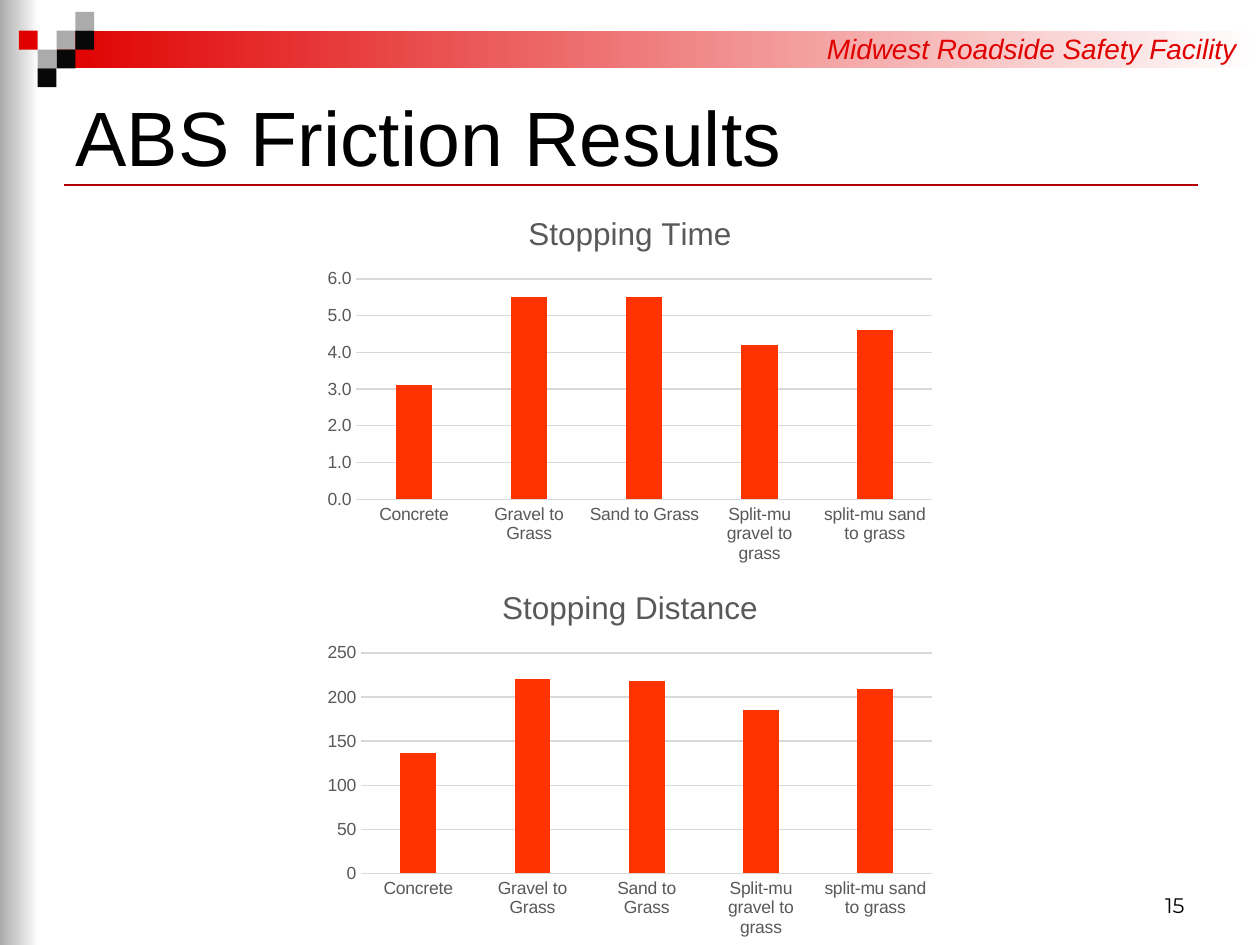
import pptx
import pptx.chart.data
import pptx.dml.color
import pptx.enum.chart
import pptx.enum.shapes
import pptx.enum.text
import pptx.oxml
import pptx.oxml.ns
import pptx.util

Cm = pptx.util.Cm
Pt = pptx.util.Pt
RGBColor = pptx.dml.color.RGBColor
ALIGN = pptx.enum.text.PP_ALIGN
ANCHOR = pptx.enum.text.MSO_ANCHOR
XL = pptx.enum.chart

BLACK = RGBColor(0x00, 0x00, 0x00)
INK = RGBColor(0x08, 0x08, 0x08)
WHITE = RGBColor(0xFF, 0xFF, 0xFF)
GREY = RGBColor(0xAB, 0xAB, 0xAB)
RED = RGBColor(0xE0, 0x00, 0x00)
DARK_RED = RGBColor(0xB2, 0x00, 0x00)
ORANGE = RGBColor(0xFF, 0x33, 0x00)
TEXT_GREY = RGBColor(0x59, 0x59, 0x59)
GRID_GREY = RGBColor(0xD9, 0xD9, 0xD9)

TILE = 0.38
TILE_TOP = 0.24
TILES = [
    (3, 1, GREY), (4, 0, GREY), (4, 1, INK), (2, 2, GREY),
    (1, 1, RED), (3, 2, INK), (2, 3, INK),
]

SURFACES = ["Concrete", "Gravel to Grass", "Sand to Grass",
            "Split-mu gravel to grass", "split-mu sand to grass"]
CHARTS = [
    ("Stopping Time", 3.89, "0.0", 6, 1, [3.1, 5.5, 5.5, 4.2, 4.6]),
    ("Stopping Distance", 11.43, "0", 250, 50, [137, 220, 218, 185, 209]),
]


def set_font(font, color, **values):
    for name, value in values.items():
        setattr(font, name, value)
    font.color.rgb = color


def set_line(line, color, width):
    line.color.rgb = color
    line.width = Pt(width)


def add_rect(s, left, top, width, height, *colors):
    sp = s.shapes.add_shape(pptx.enum.shapes.MSO_SHAPE.RECTANGLE,
                            Cm(left), Cm(top), Cm(width), Cm(height))
    sp.shadow.inherit = False
    sp.line.fill.background()
    if len(colors) == 1:
        sp.fill.solid()
        sp.fill.fore_color.rgb = colors[0]
        return
    sp.fill.gradient()
    sp.fill.gradient_angle = 0
    for stop, color in zip(sp.fill.gradient_stops, colors):
        stop.color.rgb = color


def add_rule(s, left, right, top):
    line = s.shapes.add_connector(pptx.enum.shapes.MSO_CONNECTOR.STRAIGHT,
                                  Cm(left), Cm(top), Cm(right), Cm(top))
    line._element.spPr.append(pptx.oxml.parse_xml(
        "<a:effectLst %s/>" % pptx.oxml.ns.nsdecls("a")))
    set_line(line.line, DARK_RED, 1.5)


def fill_text(sp, text, align, anchor, color, **font):
    tf = sp.text_frame
    tf.word_wrap = True
    tf.auto_size = pptx.enum.text.MSO_AUTO_SIZE.NONE
    tf.vertical_anchor = anchor
    p = tf.paragraphs[0]
    p.alignment = align
    r = p.add_run()
    r.text = text
    set_font(r.font, color, **font)


def add_text(s, left, top, width, height, *content, **font):
    sp = s.shapes.add_textbox(Cm(left), Cm(top), Cm(width), Cm(height))
    fill_text(sp, *content, **font)


def add_title(s, text):
    sp = s.shapes.title
    box = {"left": 1.27, "top": 1.6, "width": 22.86, "height": 2.29}
    for name, value in box.items():
        setattr(sp, name, Cm(value))
    fill_text(sp, text, ALIGN.LEFT, ANCHOR.MIDDLE, BLACK,
              name="Arial", size=Pt(44))


def add_column_chart(s, title, top, number_format, maximum, unit, values):
    data = pptx.chart.data.CategoryChartData(number_format=number_format)
    data.categories = SURFACES
    data.add_series(title, values)
    chart = s.shapes.add_chart(XL.XL_CHART_TYPE.COLUMN_CLUSTERED, Cm(6.35),
                               Cm(top), Cm(12.7), Cm(7.62), data).chart
    set_font(chart.font, BLACK, name="Arial", size=Pt(10))
    chart.has_legend = False
    chart.has_title = True
    chart.chart_title.include_in_layout = False
    r = chart.chart_title.text_frame.paragraphs[0].add_run()
    r.text = title
    set_font(r.font, TEXT_GREY, name="Arial", size=Pt(18), bold=False)

    plot = chart.plots[0]
    for name, value in {"gap_width": 219, "overlap": -27,
                        "vary_by_categories": False}.items():
        setattr(plot, name, value)
    fill = plot.series[0].format.fill
    fill.solid()
    fill.fore_color.rgb = ORANGE

    for axis in (chart.category_axis, chart.value_axis):
        axis.major_tick_mark = XL.XL_TICK_MARK.NONE
        axis.minor_tick_mark = XL.XL_TICK_MARK.NONE
        set_font(axis.tick_labels.font, TEXT_GREY, name="Arial", size=Pt(10))
    set_line(chart.category_axis.format.line, GRID_GREY, 0.75)
    axis = chart.value_axis
    for name, value in {"minimum_scale": 0, "maximum_scale": maximum,
                        "major_unit": unit,
                        "has_major_gridlines": True}.items():
        setattr(axis, name, value)
    axis.format.line.fill.background()
    set_line(axis.major_gridlines.format.line, GRID_GREY, 0.75)
    axis.tick_labels.number_format = number_format
    axis.tick_labels.number_format_is_linked = False


def main():
    prs = pptx.Presentation()
    prs.slide_width, prs.slide_height = Cm(25.4), Cm(19.05)
    s = prs.slides.add_slide(prs.slide_layouts[5])
    add_rect(s, 0, 0, 0.79, 19.05, GREY, WHITE)
    add_rect(s, 3 * TILE, TILE_TOP + TILE, 24.26, 2 * TILE, RED, WHITE)
    for col, row, color in TILES:
        add_rect(s, col * TILE, TILE_TOP + row * TILE, TILE, TILE, color)
    add_text(s, 15.58, 0.51, 9.6, 0.94, "Midwest Roadside Safety Facility",
             ALIGN.RIGHT, ANCHOR.MIDDLE, RED,
             name="Arial", size=Pt(16), italic=True)
    add_rule(s, 1.3, 24.16, 3.73)
    add_title(s, "ABS Friction Results")
    add_text(s, 18.21, 17.35, 5.92, 1.27, "15", ALIGN.RIGHT, ANCHOR.BOTTOM,
             BLACK, name="Montserrat", size=Pt(12))
    for chart in CHARTS:
        add_column_chart(s, *chart)
    prs.save("out.pptx")


if __name__ == "__main__":
    main()
